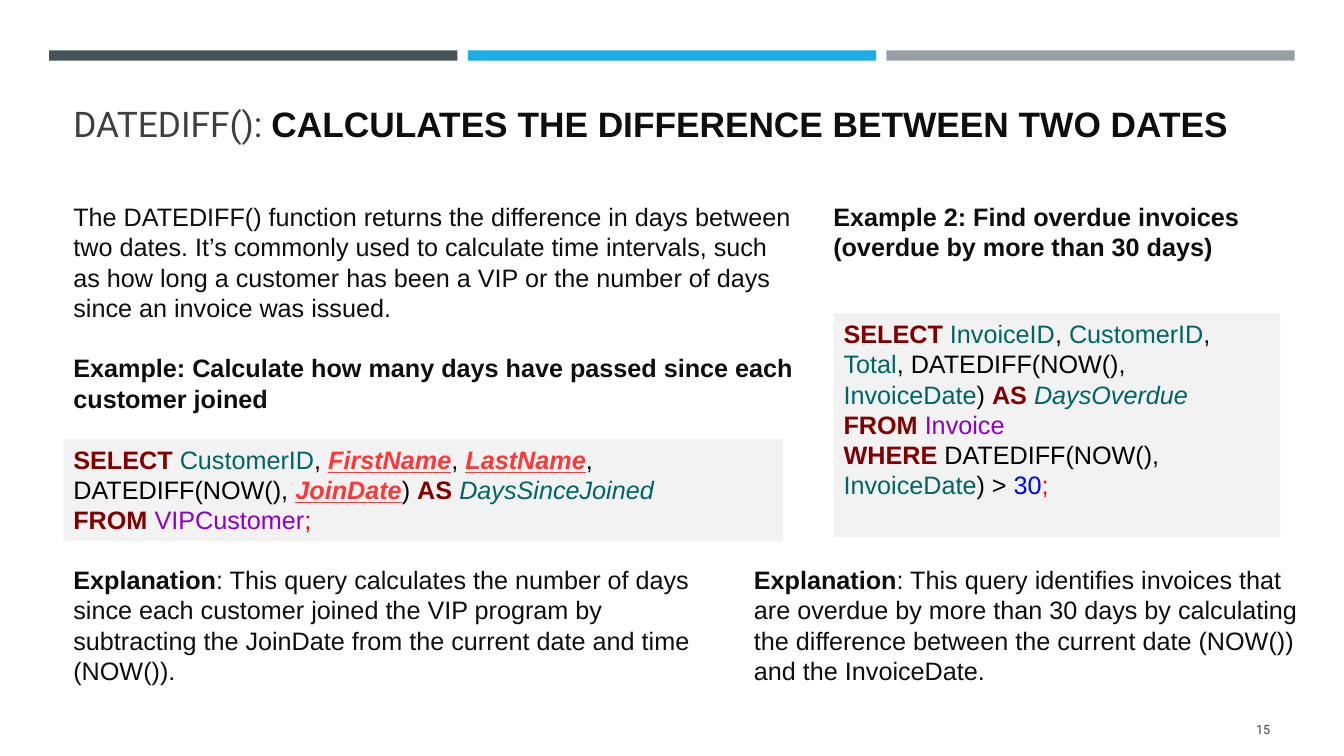
from dataclasses import dataclass

from pptx import Presentation, util as u
from pptx.dml.color import RGBColor
from pptx.enum import shapes, text
from pptx.util import Cm


@dataclass(frozen=True)
class Theme:
    body_font: str = "Arial"
    head_font: str = "Roboto"
    title: float = 25.2
    body: float = 18
    small: float = 9
    leading: float = 21.6
    ink: str = "0E0E0E"
    grey: str = "3F3F3F"
    panel: str = "F2F2F2"
    bars: tuple = ("465359", "1CADE4", "969FA7")


T = Theme()

# Run styles: colour, bold, italic, underline
STYLES = {
    "text": (T.ink, False, False, False),
    "strong": (T.ink, True, False, False),
    "light": (T.grey, False, False, False),
    "keyword": ("800000", True, False, False),
    "column": ("006464", False, False, False),
    "alias": ("006464", False, True, False),
    "marked": ("FF3737", True, True, True),
    "table": ("8E00C6", False, False, False),
    "number": ("0000FF", False, False, False),
    "end": ("FF0000", False, False, False),
    "plain": ("000000", False, False, False),
}

INTRO = [
    [("text", "The DATEDIFF() function returns the difference in days between two dates. "
              "It’s commonly used to calculate time intervals, such as how long a customer "
              "has been a VIP or the number of days since an invoice was issued.")],
    [("strong", "Example: Calculate how many days have passed since each customer joined")],
]
EXAMPLE_2 = [[("strong", "Example 2: Find overdue invoices (overdue by more than 30 days)")]]

VIP_QUERY = [
    [("keyword", "SELECT "), ("column", "CustomerID"), ("plain", ", "),
     ("marked", "FirstName"), ("plain", ", "), ("marked", "LastName"),
     ("plain", ", DATEDIFF(NOW(), "), ("marked", "JoinDate"), ("plain", ") "),
     ("keyword", "AS "), ("alias", "DaysSinceJoined")],
    [("keyword", "FROM "), ("table", "VIPCustomer"), ("end", ";")],
]
OVERDUE_QUERY = [
    [("keyword", "SELECT "), ("column", "InvoiceID"), ("plain", ", "),
     ("column", "CustomerID"), ("plain", ", "), ("column", "Total"),
     ("plain", ", DATEDIFF(NOW(), "), ("column", "InvoiceDate"), ("plain", ") "),
     ("keyword", "AS "), ("alias", "DaysOverdue")],
    [("keyword", "FROM "), ("table", "Invoice")],
    [("keyword", "WHERE"), ("plain", " DATEDIFF(NOW(), "), ("column", "InvoiceDate"),
     ("plain", ") > "), ("number", "30"), ("end", ";")],
]
VIP_NOTE = (": This query calculates the number of days since each customer joined the VIP "
            "program by subtracting the JoinDate from the current date and time (NOW()).")
OVERDUE_NOTE = (": This query identifies invoices that are overdue by more than 30 days by "
                "calculating the difference between the current date (NOW()) and the InvoiceDate.")


def add_run(p, style, words, size, font):
    r = p.add_run()
    r.text = words
    color, bold, italic, underline = STYLES[style]
    r.font.name, r.font.size = font, u.Pt(size)
    r.font.bold, r.font.italic, r.font.underline = bold, italic, underline
    r.font.color.rgb = RGBColor.from_string(color)


def set_frame(sp, anchor=text.MSO_ANCHOR.TOP):
    tf = sp.text_frame
    tf.word_wrap = True
    tf.vertical_anchor = anchor
    return tf


def fill_body(sp, paragraphs, gap=0):
    tf = set_frame(sp)
    for i, runs in enumerate(paragraphs):
        p = tf.add_paragraph() if i else tf.paragraphs[0]
        p.alignment = text.PP_ALIGN.LEFT
        p.line_spacing = u.Pt(T.leading)
        p.space_before = u.Pt(gap if i else 0)
        for style, words in runs:
            add_run(p, style, words, T.body, T.body_font)


def add_box(s, x, y, w, h):
    return s.shapes.add_textbox(Cm(x), Cm(y), Cm(w), Cm(h))


def add_panel(s, x, y, w, h, color):
    sp = s.shapes.add_shape(shapes.MSO_SHAPE.RECTANGLE, Cm(x), Cm(y), Cm(w), Cm(h))
    sp.shadow.inherit = False
    sp.fill.solid()
    sp.fill.fore_color.rgb = RGBColor.from_string(color)
    sp.line.fill.background()
    return sp


def add_bars(s):
    for i, color in enumerate(T.bars):
        add_panel(s, 1.24 + i * 10.55, 1.27, 10.29, 0.26, color)


def add_title(s):
    p = set_frame(add_box(s, 1.6, 2.03, 30.63, 1.75), text.MSO_ANCHOR.BOTTOM).paragraphs[0]
    add_run(p, "light", "DATEDIFF(): ", T.title, T.head_font)
    add_run(p, "strong", "CALCULATES THE DIFFERENCE BETWEEN TWO DATES", T.title, T.body_font)


def add_page_number(s):
    p = set_frame(add_box(s, 29.34, 17.86, 2.92, 1.02), text.MSO_ANCHOR.MIDDLE).paragraphs[0]
    p.alignment = text.PP_ALIGN.RIGHT
    add_run(p, "light", "15", T.small, T.head_font)


def add_explanation(s, x, w, h, note):
    fill_body(add_box(s, x, 14.1, w, h), [[("strong", "Explanation"), ("text", note)]])


def main():
    prs = Presentation()
    prs.slide_width, prs.slide_height = Cm(33.87), Cm(19.05)
    s = prs.slides.add_slide(prs.slide_layouts[6])

    # Header
    add_bars(s)
    add_title(s)
    add_page_number(s)

    # First example
    fill_body(add_box(s, 1.6, 4.95, 18.72, 5.64), INTRO, gap=T.leading)
    fill_body(add_panel(s, 1.6, 11.07, 18.14, 2.57, T.panel), VIP_QUERY)
    add_explanation(s, 1.6, 16.94, 2.57, VIP_NOTE)

    # Second example
    fill_body(add_box(s, 20.75, 4.95, 11.53, 1.8), EXAMPLE_2)
    fill_body(add_panel(s, 21.01, 7.9, 11.25, 5.64, T.panel), OVERDUE_QUERY)
    add_explanation(s, 18.75, 14.25, 3.33, OVERDUE_NOTE)

    prs.save("out.pptx")


if __name__ == "__main__":
    main()
